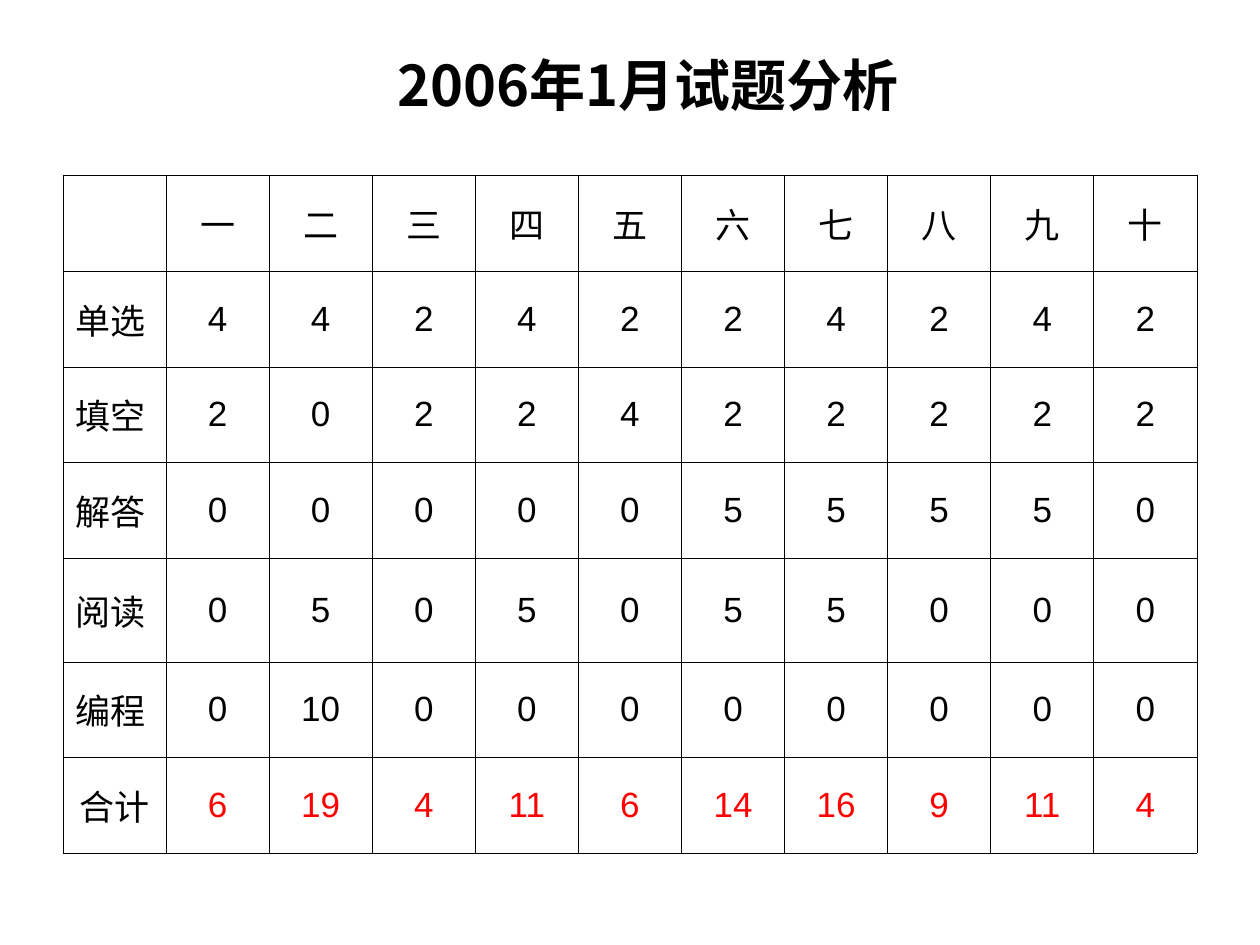
import pptx
import pptx.dml.color
import pptx.enum.text
import pptx.oxml.ns
import pptx.util
from lxml import etree

PX = 914400 // 126
CHINESE = "Noto Sans CJK SC"
LATIN = "Arial"
BLACK = "000000"
RED = "FF0000"
CENTER = pptx.enum.text.PP_ALIGN.CENTER
LEFT = pptx.enum.text.PP_ALIGN.LEFT
MIDDLE = pptx.enum.text.MSO_ANCHOR.MIDDLE

CHAPTERS = list("一二三四五六七八九十")
SCORES = {
    "单选": [4, 4, 2, 4, 2, 2, 4, 2, 4, 2],
    "填空": [2, 0, 2, 2, 4, 2, 2, 2, 2, 2],
    "解答": [0, 0, 0, 0, 0, 5, 5, 5, 5, 0],
    "阅读": [0, 5, 0, 5, 0, 5, 5, 0, 0, 0],
    "编程": [0, 10, 0, 0, 0, 0, 0, 0, 0, 0],
}
ROW_HEIGHTS = [96, 96, 95, 96, 104, 95, 96]


def px(length):
    return pptx.util.Emu(length * PX)


def rgb(color):
    return pptx.dml.color.RGBColor.from_string(color)


def write(frame, text, size, font_name, color=BLACK, bold=False, align=CENTER):
    frame.text = text
    paragraph = frame.paragraphs[0]
    paragraph.alignment = align
    for run in paragraph.runs:
        run.font.size = pptx.util.Pt(size)
        run.font.bold = bold
        run.font.color.rgb = rgb(color)
        run.font.name = font_name
        east_asian = etree.SubElement(run.font._element, pptx.oxml.ns.qn("a:ea"))
        east_asian.set("typeface", CHINESE)


def add_borders(cell, color, width):
    properties = cell._tc.get_or_add_tcPr()
    for position, side in enumerate(("lnL", "lnR", "lnT", "lnB")):
        line = etree.Element(pptx.oxml.ns.qn(f"a:{side}"), w=str(pptx.util.Pt(width)))
        fill = etree.SubElement(line, pptx.oxml.ns.qn("a:solidFill"))
        etree.SubElement(fill, pptx.oxml.ns.qn("a:srgbClr"), val=color)
        properties.insert(position, line)


def add_title(slide, text):
    title = slide.shapes.title
    title.left, title.top, title.width, title.height = map(px, (81, 19, 1134, 130))
    title.text_frame.vertical_anchor = MIDDLE
    write(title.text_frame, text, 32, CHINESE, bold=True)


def add_score_table(slide):
    totals = [sum(column) for column in zip(*SCORES.values())]
    rows = [["", *CHAPTERS], *([kind, *scores] for kind, scores in SCORES.items()),
            ["合计", *totals]]
    table = slide.shapes.add_table(len(rows), len(rows[0]), px(63), px(175),
                                   px(1134), px(sum(ROW_HEIGHTS))).table
    table.first_row = False
    table.horz_banding = False
    last = len(rows) - 1
    for r, values in enumerate(rows):
        table.rows[r].height = px(ROW_HEIGHTS[r])
        for c, value in enumerate(values):
            cell = table.cell(r, c)
            cell.fill.background()
            add_borders(cell, BLACK, 0.45)
            cell.vertical_anchor = MIDDLE
            write(cell.text_frame, str(value), 20,
                  CHINESE if r == 0 or c == 0 else LATIN,
                  color=RED if r == last and c > 0 else BLACK,
                  align=LEFT if c == 0 and r < last else CENTER)


def main():
    presentation = pptx.Presentation()
    presentation.slide_width = px(1260)
    presentation.slide_height = px(945)
    slide = presentation.slides.add_slide(presentation.slide_layouts[5])
    add_title(slide, "2006年1月试题分析")
    add_score_table(slide)
    presentation.save("out.pptx")


if __name__ == "__main__":
    main()
